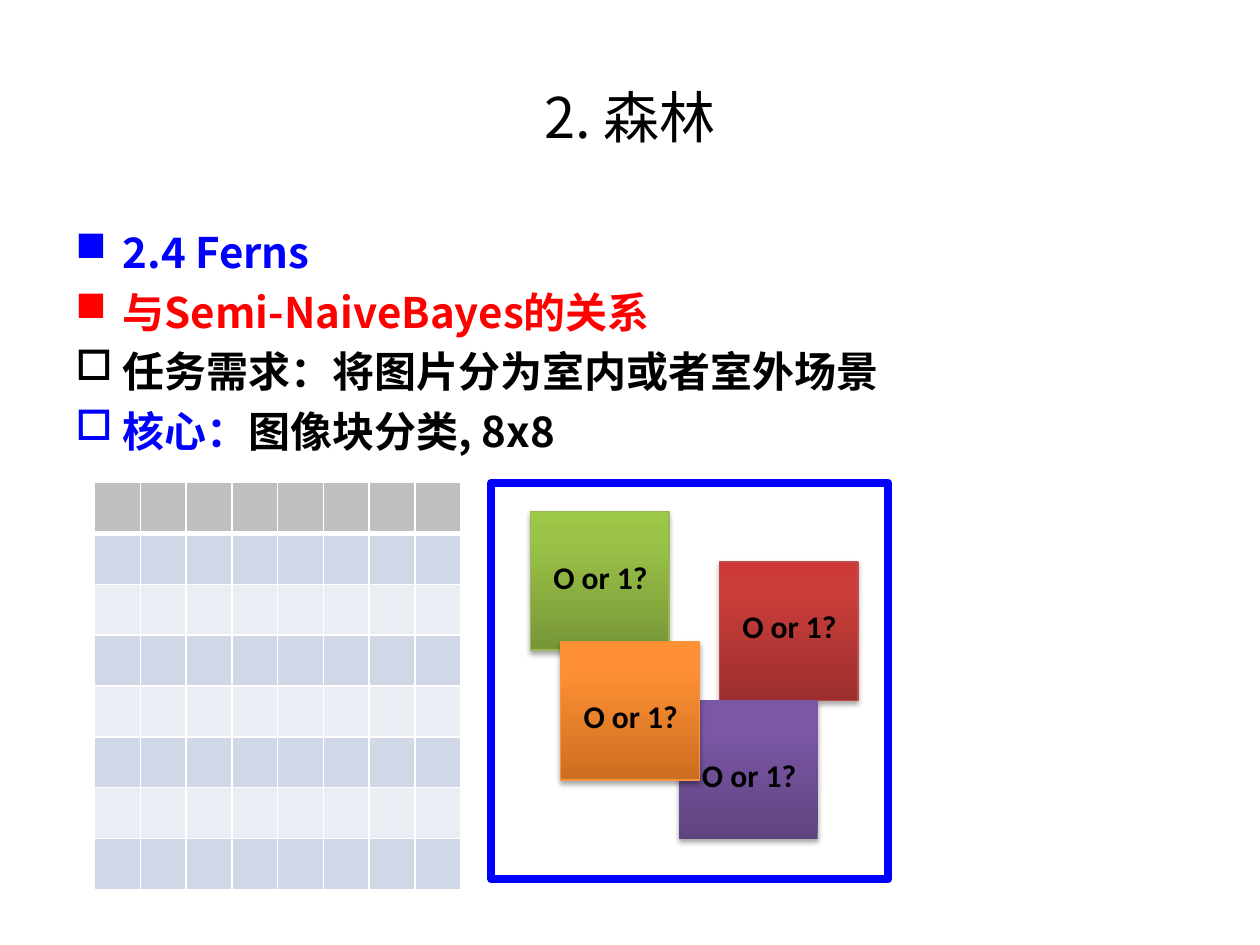
from lxml import etree
from pptx import Presentation
from pptx.dml.color import RGBColor
from pptx.enum.shapes import MSO_SHAPE
from pptx.enum.text import MSO_ANCHOR, PP_ALIGN
from pptx.oxml.ns import qn
from pptx.util import Inches, Pt

RECTANGLE = MSO_SHAPE.RECTANGLE
CENTER = PP_ALIGN.CENTER
LEFT = PP_ALIGN.LEFT
MIDDLE = MSO_ANCHOR.MIDDLE
TOP = MSO_ANCHOR.TOP

CHINESE_FONT = "Noto Sans CJK SC"
LABEL_FONT = "Calibri"
BULLET_FONT = "Wingdings"
FILLED_SQUARE, HOLLOW_SQUARE = "n", "o"
BLACK, BLUE, RED, WHITE = "000000", "0000FF", "FF0000", "FFFFFF"
TILE_SIZE = 1.1

BULLETS = [
    (FILLED_SQUARE, [("2.4 Ferns", BLUE)]),
    (FILLED_SQUARE, [("与Semi-NaiveBayes的关系", RED)]),
    (HOLLOW_SQUARE, [("任务需求：将图片分为室内或者室外场景", BLACK)]),
    (HOLLOW_SQUARE, [("核心：", BLUE), ("图像块分类, 8x8", BLACK)]),
]
TILES = [
    (4.21, 4.06, ("779737", "9BC348", "9DC746"), "98B955", 4.38),
    (5.71, 4.46, ("9C2F2D", "CB3E3A", "CE3B37"), "BF4C48", 4.77),
    (5.39, 5.56, ("5F4480", "7B58A6", "7C57A8"), None, 5.95),
    (4.45, 5.09, ("CC6E20", "FF9034", "FF9136"), "F69240", 5.48),
]


def color(value):
    return RGBColor.from_string(value)


def add_element(parent, tag, **attributes):
    element = etree.SubElement(parent, qn(tag))
    for name, value in attributes.items():
        element.set(name, str(value))
    return element


def set_font(font, name, size, bold=False):
    font.name = name
    font.size = Pt(size)
    font.bold = bold


def add_span(para, text, value, face):
    span = para.add_run()
    span.text = text
    span.font.color.rgb = color(value)
    span.font.name = face
    add_element(span.font._element, "a:ea", typeface=face)


def add_text_box(page, left, top, width, height, anchor=TOP, wrap=True):
    box = page.shapes.add_textbox(Inches(left), Inches(top), Inches(width), Inches(height))
    box.text_frame.word_wrap = wrap
    box.text_frame.vertical_anchor = anchor
    return box.text_frame


def add_title(page):
    para = add_text_box(page, 0.5, 0.3, 9, 1.25, MIDDLE).paragraphs[0]
    para.alignment = CENTER
    set_font(para.font, CHINESE_FONT, 32)
    add_span(para, "2. 森林", BLACK, CHINESE_FONT)


def add_bullets(page):
    frame = add_text_box(page, 0.5, 1.75, 9, 4.95)
    for index, (mark, spans) in enumerate(BULLETS):
        para = frame.add_paragraph() if index else frame.paragraphs[0]
        para.alignment = LEFT
        if index:
            para.space_before = Pt(5.2)
        properties = para._p.get_or_add_pPr()
        properties.set("marL", str(Inches(0.375)))
        properties.set("indent", str(Inches(-0.375)))
        add_element(properties, "a:buFont", typeface=BULLET_FONT, charset=2)
        add_element(properties, "a:buChar", char=mark)
        set_font(para.font, CHINESE_FONT, 24, True)
        for text, value in spans:
            add_span(para, text, value, CHINESE_FONT)


def add_square(page, left, top, size, line, weight):
    square = page.shapes.add_shape(RECTANGLE, Inches(left), Inches(top), Inches(size), Inches(size))
    square.shadow.inherit = False
    square.fill.background()
    if line:
        square.line.color.rgb = color(line)
        square.line.width = Pt(weight)
    else:
        square.line.fill.background()
    return square


def add_gradient(square, colors):
    properties = square._element.spPr
    gradient = etree.Element(qn("a:gradFill"), rotWithShape="1")
    stops = add_element(gradient, "a:gsLst")
    for position, value in zip((0, 80, 100), colors):
        stop = add_element(stops, "a:gs", pos=position * 1000)
        add_element(stop, "a:srgbClr", val=value)
    add_element(gradient, "a:lin", ang=270 * 60000, scaled=0)
    properties.replace(properties.find(qn("a:noFill")), gradient)


def add_shadow(square):
    effects = square._element.spPr.find(qn("a:effectLst"))
    shadow = add_element(effects, "a:outerShdw", blurRad=Pt(3.1), dist=Pt(1.8),
                         dir=90 * 60000, rotWithShape=0)
    shade = add_element(shadow, "a:srgbClr", val=BLACK)
    add_element(shade, "a:alpha", val=35000)


def add_tile(page, left, top, colors, line):
    tile = add_square(page, left, top, TILE_SIZE, line, 0.75)
    add_gradient(tile, colors)
    add_shadow(tile)


def add_label(page, left, top):
    para = add_text_box(page, left, top, 0.95, 0.4, wrap=False).paragraphs[0]
    para.alignment = CENTER
    set_font(para.font, LABEL_FONT, 18, True)
    add_span(para, "O or 1?", BLACK, LABEL_FONT)


def style_cell(cell, fill, bottom_weight):
    properties = cell._tc.get_or_add_tcPr()
    for side, weight in (("L", 1), ("R", 1), ("T", 1), ("B", bottom_weight)):
        border = add_element(properties, f"a:ln{side}", w=Pt(weight))
        add_element(add_element(border, "a:solidFill"), "a:srgbClr", val=WHITE)
    cell.fill.solid()
    cell.fill.fore_color.rgb = color(fill)


def add_pixel_grid(page, count=8):
    table = page.shapes.add_table(count, count, Inches(0.75), Inches(3.83),
                                  Inches(2.91), Inches(3.23)).table
    for index, row in enumerate(table.rows):
        fill = ("E9EDF4", "D0D8E8")[index % 2] if index else "BFBFBF"
        for cell in row.cells:
            style_cell(cell, fill, 1 if index else 3)


def main():
    deck = Presentation()
    deck.slide_width, deck.slide_height = Inches(10), Inches(7.5)
    page = deck.slides.add_slide(deck.slide_layouts[6])
    add_title(page)
    add_bullets(page)
    add_square(page, 3.9, 3.83, 3.15, BLUE, 4.5)
    for left, top, colors, line, _ in TILES:
        add_tile(page, left, top, colors, line)
    for left, _, _, _, label_top in TILES:
        add_label(page, left + 0.08, label_top)
    add_pixel_grid(page)
    deck.save("out.pptx")


if __name__ == "__main__":
    main()
